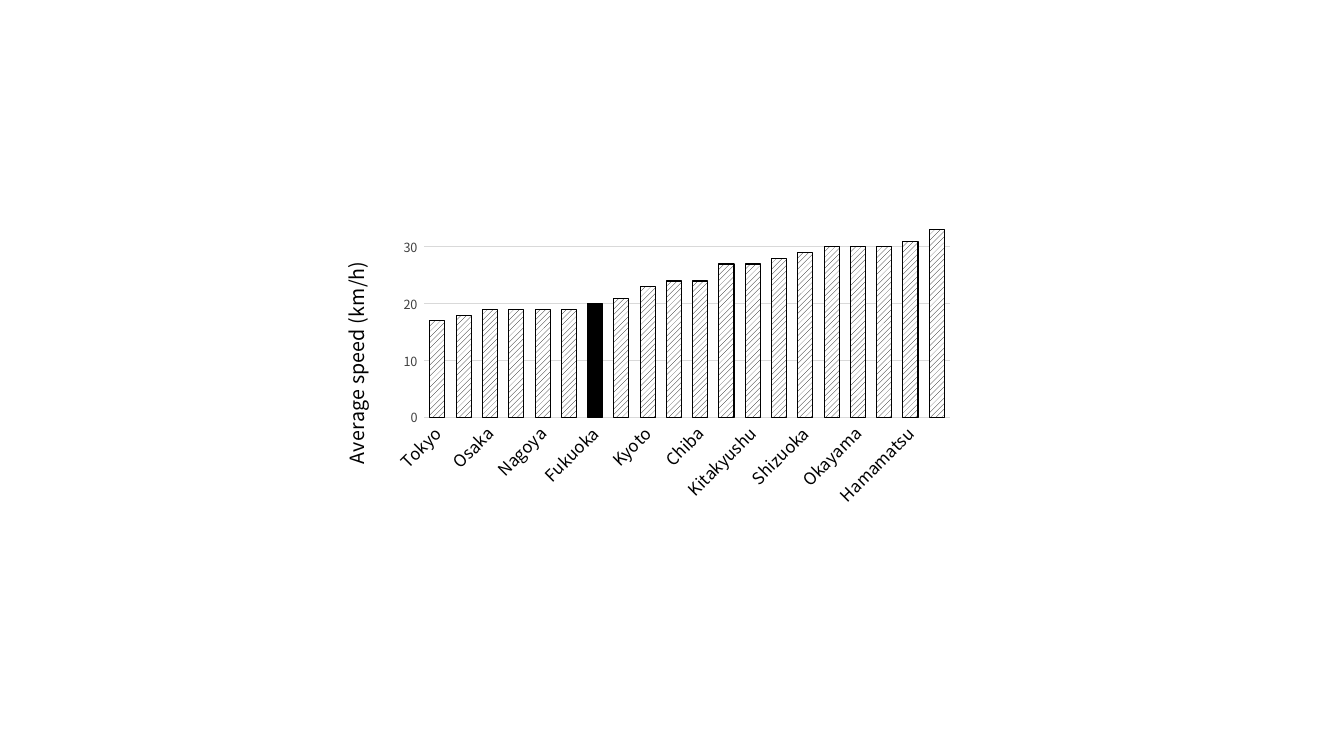
from pptx import Presentation
from pptx.chart.data import CategoryChartData
from pptx.dml.color import RGBColor
from pptx.enum.chart import XL_CHART_TYPE, XL_TICK_MARK
from pptx.enum.dml import MSO_PATTERN
from pptx.oxml import parse_xml
from pptx.oxml.ns import nsdecls, qn
from pptx.util import Inches, Pt

COLUMN_CLUSTERED = XL_CHART_TYPE.COLUMN_CLUSTERED
NO_TICK = XL_TICK_MARK.NONE
WIDE_DIAGONAL = MSO_PATTERN.WIDE_UPWARD_DIAGONAL

BLACK = RGBColor(0x00, 0x00, 0x00)
WHITE = RGBColor(0xFF, 0xFF, 0xFF)
DARK_GREY = RGBColor(0x40, 0x40, 0x40)
LIGHT_GREY = RGBColor(0xD9, 0xD9, 0xD9)
FONT = "Noto Sans CJK SC"
HIGHLIGHTED_CITY = "Fukuoka"

# Average speed by city, in km/h
CITY_SPEEDS = {
    "Tokyo": 17, "Saitama": 18, "Osaka": 19, "Kawasaki": 19, "Nagoya": 19,
    "Sakai": 19, "Fukuoka": 20, "Yokohama": 21, "Kyoto": 23, "Sagamihara": 24,
    "Chiba": 24, "Sapporo": 27, "Kitakyushu": 27, "Kobe": 28, "Shizuoka": 29,
    "Hiroshima": 30, "Okayama": 30, "Sendai": 30, "Hamamatsu": 31, "Niigata": 33,
}


def set_values(target, values):
    for name, value in values.items():
        setattr(target, name, value)


def set_font(font, size, color):
    set_values(font, {"name": FONT, "size": Pt(size), "bold": False})
    font.color.rgb = color


def set_line(line, color):
    line.color.rgb = color
    line.width = Pt(0.75)


def set_layout(parent, index, values, target=""):
    """Place a chart part by fractions of the chart's size."""
    for layout in parent.findall(qn("c:layout")):
        parent.remove(layout)
    settings = {"xMode": "edge", "yMode": "edge", **values}
    if target:
        settings = {"layoutTarget": target, **settings}
    children = "".join(f'<c:{tag} val="{value}"/>' for tag, value in settings.items())
    parent.insert(index, parse_xml(
        f'<c:layout {nsdecls("c")}><c:manualLayout>{children}</c:manualLayout></c:layout>'))


def set_rotation(element, body_route, degrees):
    for body in element.xpath(body_route):
        body.set("rot", str(degrees * 60000))
        body.set("vert", "horz")


def format_city_axis(axis):
    set_values(axis, {"major_tick_mark": NO_TICK, "minor_tick_mark": NO_TICK,
                      "has_major_gridlines": False})
    set_font(axis.tick_labels.font, 12, BLACK)
    set_line(axis.format.line, LIGHT_GREY)
    element = axis._element
    set_rotation(element, "c:txPr/a:bodyPr", -45)
    # Label every second city
    element.find(qn("c:noMultiLvlLbl")).addprevious(
        parse_xml(f'<c:tickLblSkip {nsdecls("c")} val="2"/>'))


def format_speed_axis(axis):
    set_values(axis, {"minimum_scale": 0, "maximum_scale": 35, "major_unit": 10,
                      "major_tick_mark": NO_TICK, "minor_tick_mark": NO_TICK,
                      "has_major_gridlines": True})
    set_values(axis.tick_labels, {"number_format": r"#,##0_);[Red]\(#,##0\)",
                                  "number_format_is_linked": False})
    set_font(axis.tick_labels.font, 9, DARK_GREY)
    set_line(axis.major_gridlines.format.line, LIGHT_GREY)
    axis.format.line.fill.background()

    # Axis title
    text_frame = axis.axis_title.text_frame
    text_frame.text = "Average speed (km/h)"
    set_font(text_frame.paragraphs[0].runs[0].font, 14, BLACK)
    title = axis.axis_title._element
    set_rotation(title, "c:tx/c:rich/a:bodyPr", -90)
    set_layout(title, 1, {"x": 0.03, "y": 0.15})


def format_columns(plot):
    set_values(plot, {"gap_width": 75, "overlap": -25, "vary_by_categories": False})
    series = plot.series[0]
    series.format.fill.patterned()
    series.format.fill.pattern = WIDE_DIAGONAL
    series.format.fill.fore_color.rgb = BLACK
    series.format.fill.back_color.rgb = WHITE
    set_line(series.format.line, BLACK)

    # Solid column for the highlighted city
    highlight = series.points[list(CITY_SPEEDS).index(HIGHLIGHTED_CITY)].format
    highlight.fill.solid()
    highlight.fill.fore_color.rgb = BLACK
    set_line(highlight.line, BLACK)


def add_speed_chart(slide, left, top, width, height):
    chart_data = CategoryChartData()
    chart_data.categories = list(CITY_SPEEDS)
    chart_data.add_series("Series 1", list(CITY_SPEEDS.values()))
    chart = slide.shapes.add_chart(
        COLUMN_CLUSTERED, left, top, width, height, chart_data).chart
    set_values(chart, {"has_title": False, "has_legend": False})
    set_font(chart.font, 10, BLACK)
    format_columns(chart.plots[0])
    format_city_axis(chart.category_axis)
    format_speed_axis(chart.value_axis)
    # Plot area including its axis labels
    plot_area = chart._chartSpace.xpath("c:chart/c:plotArea")[0]
    set_layout(plot_area, 0, {"x": 0.12, "y": 0.02, "w": 0.86, "h": 0.96}, "outer")


def main():
    presentation = Presentation()
    presentation.slide_width = Inches(13.33)
    presentation.slide_height = Inches(7.5)
    slide = presentation.slides.add_slide(presentation.slide_layouts[6])
    add_speed_chart(slide, Inches(3.14), Inches(2.11), Inches(6.41), Inches(2.98))
    presentation.save("out.pptx")


if __name__ == "__main__":
    main()
